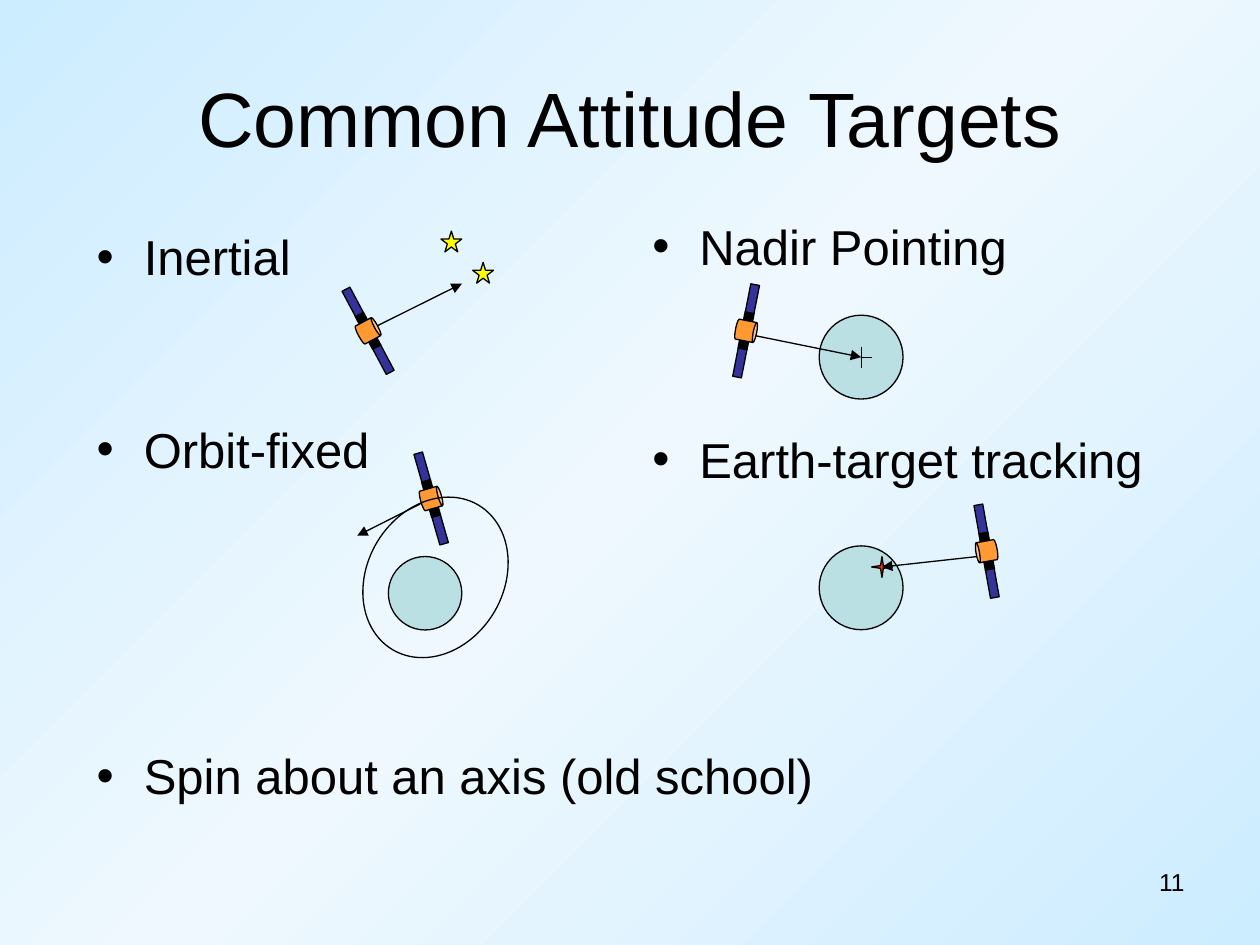
from copy import deepcopy
from dataclasses import dataclass
from math import cos, pi, radians, sin

from lxml import etree
from pptx import Presentation
from pptx.dml.color import RGBColor
from pptx.enum.shapes import MSO_CONNECTOR, MSO_SHAPE
from pptx.enum.text import MSO_ANCHOR, PP_ALIGN
from pptx.oxml.ns import qn
from pptx.util import Cm, Pt

CAN, RECT, OVAL, STAR = MSO_SHAPE.CAN, MSO_SHAPE.RECTANGLE, MSO_SHAPE.OVAL, MSO_SHAPE.STAR_5_POINT
STRAIGHT = MSO_CONNECTOR.STRAIGHT
LEFT, CENTER, RIGHT = PP_ALIGN.LEFT, PP_ALIGN.CENTER, PP_ALIGN.RIGHT
TOP, MIDDLE = MSO_ANCHOR.TOP, MSO_ANCHOR.MIDDLE


@dataclass(frozen=True)
class Theme:
    font: str = "Arial"
    ink: str = "000000"
    edge: str = "CCECFF"
    glow: str = "EFF8FE"
    body: str = "FF9933"
    panel: str = "333399"
    star: str = "FFFF00"
    earth: str = "BBE0E3"
    target: str = "FF3300"
    title_size: int = 44
    bullet_size: int = 28
    number_size: int = 14
    thin: float = 0.75
    thick: float = 6


def apply(item, values):
    for name, value in values.items():
        setattr(item, name, value)


class Sketch:
    def __init__(self, page, theme):
        self.page = page
        self.theme = theme

    def background(self):
        fill = self.page.background.fill
        fill.gradient()
        fill.gradient_angle = 135
        stops = next(self.page.element.iter(qn("a:gsLst")))
        stops.insert(1, deepcopy(stops[0]))
        colors = (self.theme.edge, self.theme.glow, self.theme.edge)
        for stop, color, position in zip(fill.gradient_stops, colors, (0, 0.5, 1)):
            stop.color.rgb = RGBColor.from_string(color)
            stop.position = position

    def text(self, words, left, top, width, height, size, align=LEFT, anchor=TOP):
        box = self.page.shapes.add_textbox(Cm(left), Cm(top), Cm(width), Cm(height))
        apply(box.text_frame, {"word_wrap": True, "vertical_anchor": anchor})
        para = box.text_frame.paragraphs[0]
        para.alignment = align
        span = para.add_run()
        span.text = words
        apply(span.font, {"name": self.theme.font, "size": Pt(size)})
        span.font.color.rgb = RGBColor.from_string(self.theme.ink)
        return para

    def bullet(self, words, left, top, width, height=1.9, spacing=1.0):
        para = self.text(words, left, top, width, height, self.theme.bullet_size)
        apply(para, {"space_before": Pt(7), "line_spacing": spacing})
        props = para._p.get_or_add_pPr()
        props.set("marL", str(Cm(0.95)))
        props.set("indent", str(-Cm(0.95)))
        etree.SubElement(props, qn("a:buFont")).set("typeface", self.theme.font)
        etree.SubElement(props, qn("a:buChar")).set("char", "•")

    def paint(self, shape, color):
        shape.shadow.inherit = False
        if color:
            shape.fill.solid()
            shape.fill.fore_color.rgb = RGBColor.from_string(color)
        else:
            shape.fill.background()
        shape.line.color.rgb = RGBColor.from_string(self.theme.ink)
        shape.line.width = Pt(self.theme.thin)

    def shape(self, kind, x, y, width, height, color=None, turn=0):
        shape = self.page.shapes.add_shape(
            kind, Cm(x - width / 2), Cm(y - height / 2), Cm(width), Cm(height))
        shape.rotation = turn
        self.paint(shape, color)
        return shape

    def line(self, x1, y1, x2, y2, arrow=False, width=None):
        line = self.page.shapes.add_connector(STRAIGHT, Cm(x1), Cm(y1), Cm(x2), Cm(y2))
        line.line.color.rgb = RGBColor.from_string(self.theme.ink)
        line.line.width = Pt(width or self.theme.thin)
        if arrow:
            etree.SubElement(line.line._get_or_add_ln(), qn("a:tailEnd")).set("type", "triangle")
        etree.SubElement(line.element.spPr, qn("a:effectLst"))

    def earth(self, x, y, size=1.69):
        self.shape(OVAL, x, y, size, size, self.theme.earth)

    def star(self, x, y):
        self.shape(STAR, x, y, 0.42, 0.42, self.theme.star)

    def satellite(self, x, y, turn):
        along_x, along_y = cos(radians(turn)), sin(radians(turn))
        self.shape(CAN, x, y, 0.41, 0.43, self.theme.body, turn).adjustments[0] = 0.17
        for side in (-1, 1):
            dx, dy = side * along_x, side * along_y
            self.shape(RECT, x + 0.66 * dx, y + 0.66 * dy, 0.58, 0.18, self.theme.panel, turn)
            self.line(x + 0.2 * dx, y + 0.2 * dy, x + 0.38 * dx, y + 0.38 * dy,
                      width=self.theme.thick)

    def target(self, x, y):
        points = []
        for step in range(8):
            radius = 0.04 if step % 2 else 0.21
            angle = step * pi / 4
            points.append((Cm(x + radius * cos(angle)), Cm(y + radius * sin(angle))))
        outline = self.page.shapes.build_freeform(*points[0])
        outline.add_line_segments(points[1:], close=True)
        self.paint(outline.convert_to_shape(), self.theme.target)


def main():
    deck = Presentation()
    deck.slide_width, deck.slide_height = Cm(25.4), Cm(19.05)
    theme = Theme()
    sketch = Sketch(deck.slides.add_slide(deck.slide_layouts[6]), theme)
    sketch.background()

    sketch.text("Common Attitude Targets", 1.27, 0.76, 22.86, 3.18,
                theme.title_size, CENTER, MIDDLE)
    left, right, column = 1.7, 12.9, 11.23
    sketch.bullet("Inertial", left, 4.45, column)
    sketch.bullet("Orbit-fixed", left, 8.33, column)
    sketch.bullet("Nadir Pointing", right, 4.24, column)
    sketch.bullet("Earth-target tracking", right, 8.53, column)
    sketch.bullet("Spin about an axis (old school)", left, 15.04, 22.02, 1.47, 0.9)
    sketch.text("11", 18.21, 17.35, 5.92, 1.32, theme.number_size, RIGHT)

    sketch.satellite(7.42, 6.67, 62)
    sketch.line(7.62, 6.56, 9.31, 5.72, arrow=True)
    sketch.star(9.1, 4.87)
    sketch.star(9.74, 5.5)

    sketch.satellite(8.69, 10.05, 74)
    sketch.shape(OVAL, 8.78, 11.64, 2.75, 3.39, turn=30.6)
    sketch.line(8.47, 10.16, 7.2, 10.8, arrow=True)
    sketch.earth(8.57, 11.96, 1.48)

    sketch.earth(17.36, 7.2)
    sketch.satellite(15.04, 6.67, 101.1)
    sketch.line(15.24, 6.77, 17.36, 7.2, arrow=True)
    sketch.line(17.36, 6.99, 17.36, 7.41)
    sketch.line(17.57, 7.2, 17.36, 7.2)

    sketch.earth(17.36, 11.85)
    sketch.satellite(19.89, 11.11, 259.9)
    sketch.target(17.78, 11.43)
    sketch.line(19.69, 11.22, 17.78, 11.43, arrow=True)

    deck.save("out.pptx")


if __name__ == "__main__":
    main()
